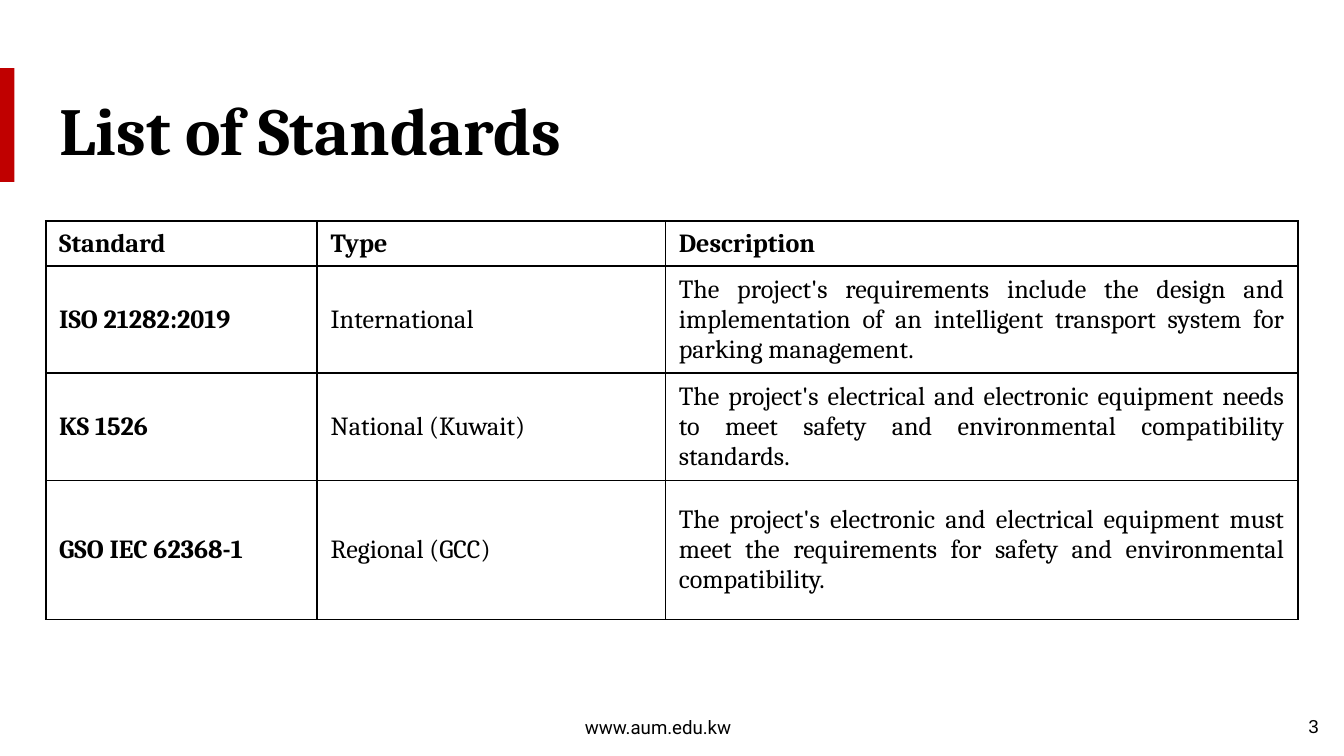
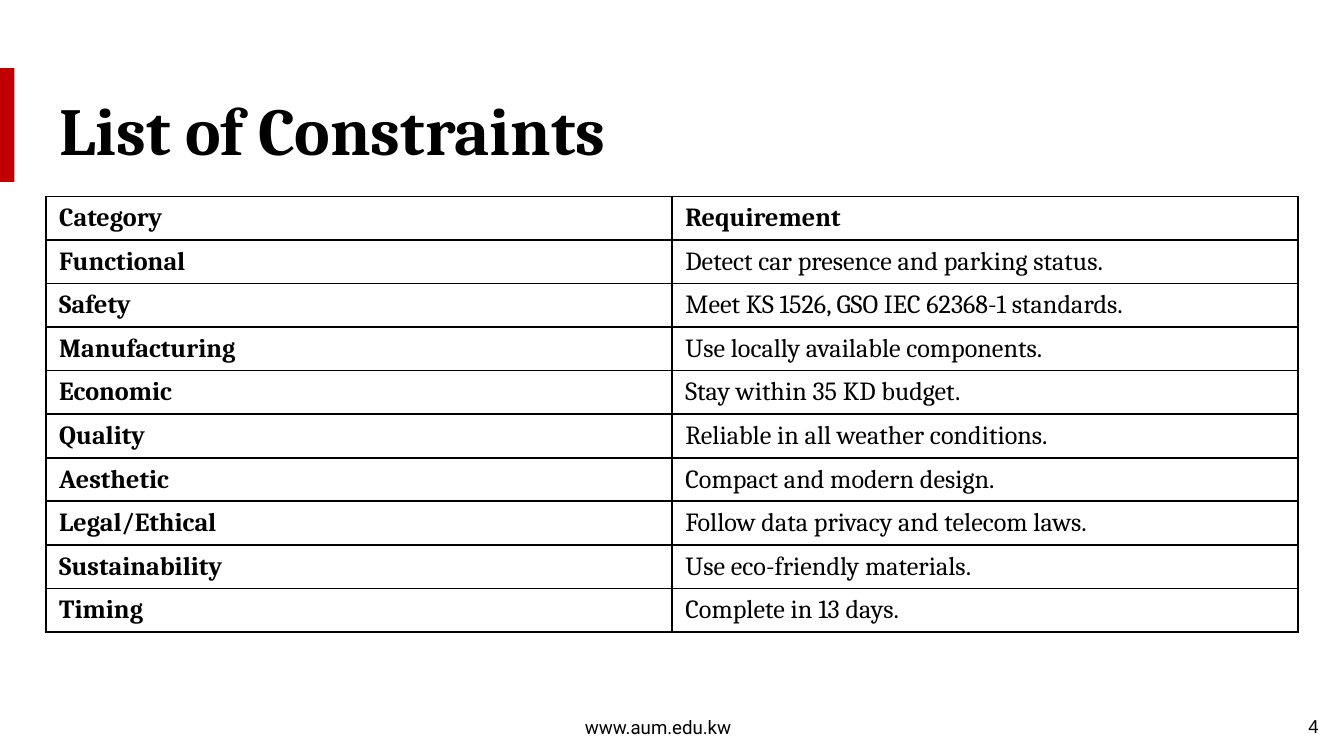
import pptx
import pptx.util
import pptx.dml.color
import pptx.enum.shapes
import pptx.enum.text
import pptx.oxml
import pptx.oxml.ns

Pt = pptx.util.Pt
ALIGN = pptx.enum.text.PP_ALIGN
ANCHOR = pptx.enum.text.MSO_ANCHOR

COLORS = {"accent": "C00000", "text": "000000", "border": "000000"}
SERIF = "Cambria"
INSET = 7.2
TABLE_LEFT = 24.5
TABLE_WIDTH = 671

STANDARDS = [
    ("Standard", "Type", "Description"),
    ("ISO 21282:2019", "International",
     "The project's requirements include the design and implementation of an "
     "intelligent transport system for parking management."),
    ("KS 1526", "National (Kuwait)",
     "The project's electrical and electronic equipment needs to meet safety "
     "and environmental compatibility standards."),
    ("GSO IEC 62368-1", "Regional (GCC)",
     "The project's electronic and electrical equipment must meet the "
     "requirements for safety and environmental compatibility."),
]

CONSTRAINTS = [
    ("Category", "Requirement"),
    ("Functional", "Detect car presence and parking status."),
    ("Safety", "Meet KS 1526, GSO IEC 62368-1 standards."),
    ("Manufacturing", "Use locally available components."),
    ("Economic", "Stay within 35 KD budget."),
    ("Quality", "Reliable in all weather conditions."),
    ("Aesthetic", "Compact and modern design."),
    ("Legal/Ethical", "Follow data privacy and telecom laws."),
    ("Sustainability", "Use eco-friendly materials."),
    ("Timing", "Complete in 13 days."),
]


def rgb(name):
    return pptx.dml.color.RGBColor.from_string(COLORS[name])


def set_text(tf, text, font, size, bold=False, align=ALIGN.LEFT):
    tf.text = text
    p = tf.paragraphs[0]
    p.alignment = align
    r = p.runs[0]
    r.font.name = font
    r.font.size = Pt(size)
    r.font.bold = bold
    r.font.color.rgb = rgb("text")


def set_frame(tf, anchor, wrap=True):
    tf.word_wrap = wrap
    tf.auto_size = pptx.enum.text.MSO_AUTO_SIZE.NONE
    tf.vertical_anchor = anchor
    tf.margin_left = tf.margin_right = Pt(INSET)
    tf.margin_top = tf.margin_bottom = Pt(INSET)


def add_band(s):
    band = s.shapes.add_shape(pptx.enum.shapes.MSO_SHAPE.RECTANGLE,
                              0, Pt(36.5), Pt(7.7), Pt(61))
    band.shadow.inherit = False
    band.fill.solid()
    band.fill.fore_color.rgb = rgb("accent")
    band.line.fill.background()


def add_label(s, box, text, font, align, anchor):
    sp = s.shapes.add_textbox(*map(Pt, box))
    set_frame(sp.text_frame, anchor)
    set_text(sp.text_frame, text, font, 10, align=align)


def add_slide(prs, title, title_width, number):
    """Add a slide with the red band, title, web address and page number."""
    s = prs.slides.add_slide(prs.slide_layouts.get_by_name("Title Only"))
    add_band(s)
    add_label(s, (670.5, 373.5, 43, 31), str(number), "Arial",
              ALIGN.RIGHT, ANCHOR.MIDDLE)
    add_label(s, (297.5, 376.5, 110, 26.5), "www.aum.edu.kw", "Roboto",
              ALIGN.CENTER, ANCHOR.TOP)
    sp = s.shapes.title
    sp.left, sp.top = Pt(TABLE_LEFT), Pt(38.5)
    sp.width, sp.height = Pt(title_width), Pt(60.5)
    set_frame(sp.text_frame, ANCHOR.MIDDLE)
    set_text(sp.text_frame, title, SERIF, 36, bold=True)
    return s


def set_borders(cell):
    tc_pr = cell._tc.get_or_add_tcPr()
    for side in ("lnL", "lnR", "lnT", "lnB"):
        tc_pr.append(pptx.oxml.parse_xml(
            f'<a:{side} {pptx.oxml.ns.nsdecls("a")} w="{Pt(1)}"><a:solidFill>'
            f'<a:srgbClr val="{COLORS["border"]}"/></a:solidFill></a:{side}>'))


def add_table(s, data, top, col_widths, row_heights, justified_col=None):
    """Add a bordered table with a bold first row and first column."""
    frame = s.shapes.add_table(len(data), len(col_widths),
                               Pt(TABLE_LEFT), Pt(top),
                               Pt(sum(col_widths)), Pt(sum(row_heights)))
    table = frame.table
    table.first_row = table.horz_banding = False
    for col, width in zip(table.columns, col_widths):
        col.width = Pt(width)
    for row, height in zip(table.rows, row_heights):
        row.height = Pt(height)
    for i, values in enumerate(data):
        for j, value in enumerate(values):
            cell = table.cell(i, j)
            cell.vertical_anchor = ANCHOR.MIDDLE
            justify = i > 0 and j == justified_col
            set_text(cell.text_frame, value, SERIF, 14, bold=i == 0 or j == 0,
                     align=ALIGN.JUSTIFY if justify else ALIGN.LEFT)
            set_borders(cell)
            cell.fill.background()


def main():
    prs = pptx.Presentation()
    prs.slide_width, prs.slide_height = Pt(720), Pt(405)

    # Standards
    s = add_slide(prs, "List of Standards", 293, 3)
    add_table(s, STANDARDS, 118.5, [145.5, 186.5, 339],
              [24, 57.5, 57.5, 74.5], justified_col=2)

    # Constraints
    s = add_slide(prs, "List of Constraints", 320, 4)
    add_table(s, CONSTRAINTS, 105.25, [TABLE_WIDTH / 2] * 2,
              [23.35] * len(CONSTRAINTS))

    prs.save("out.pptx")


if __name__ == "__main__":
    main()
